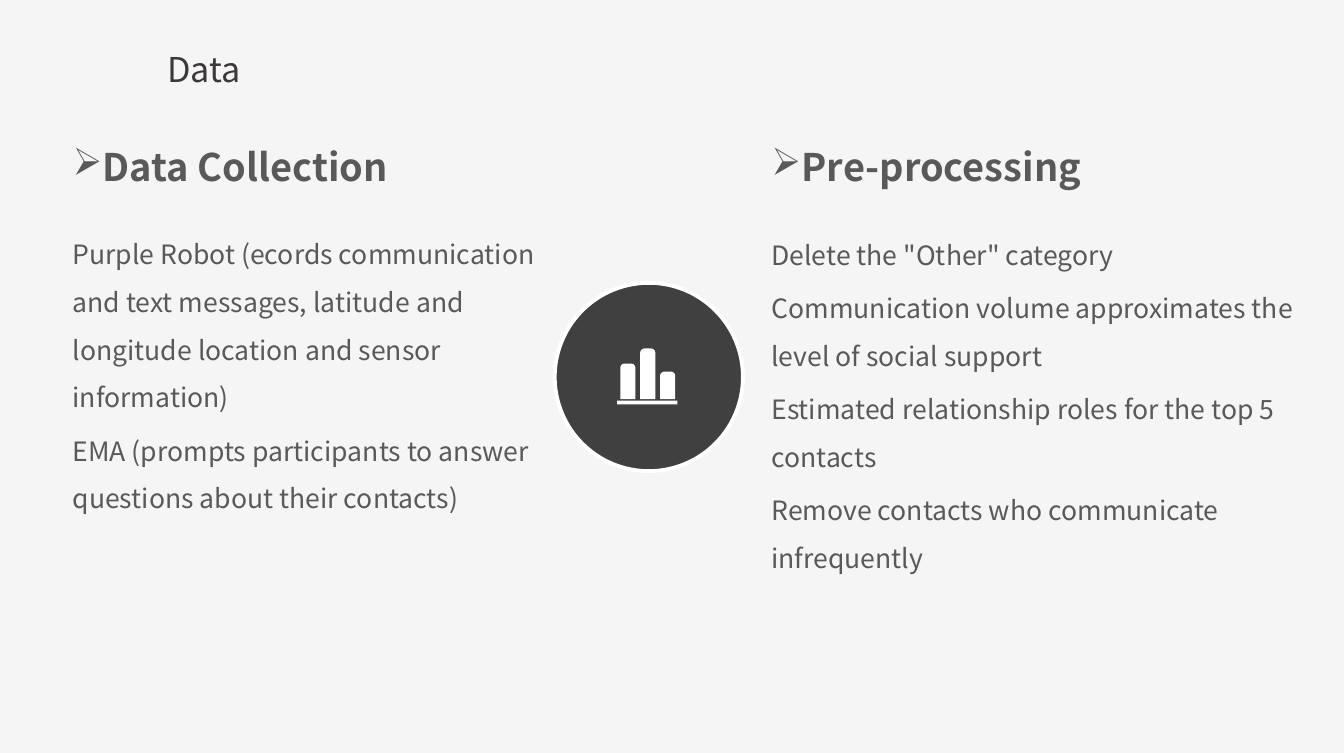
from lxml import etree
from pptx import Presentation
from pptx.dml.color import RGBColor
from pptx.enum.shapes import MSO_SHAPE
from pptx.enum.text import MSO_ANCHOR, PP_ALIGN
from pptx.oxml.ns import qn
from pptx.util import Cm, Pt

FONT = "Noto Sans CJK SC"
COLOURS = {
    "background": "F5F5F5",
    "title": "3B3837",
    "text": "595959",
    "disc": "404040",
    "white": "FFFFFF",
}

deck = Presentation()
deck.slide_width, deck.slide_height = Cm(25), Cm(14)
page = deck.slides.add_slide(deck.slide_layouts[6])
page.background.fill.solid()
page.background.fill.fore_color.rgb = RGBColor.from_string(COLOURS["background"])


def add_text(left, top, width, height, lines, size, colour="text", bold=False):
    """Add a margin-free text box with one paragraph per line; return its frame."""
    box = page.shapes.add_textbox(Cm(left), Cm(top), Cm(width), Cm(height))
    frame = box.text_frame
    frame.word_wrap = True
    frame.vertical_anchor = MSO_ANCHOR.MIDDLE
    frame.margin_left = frame.margin_right = frame.margin_top = frame.margin_bottom = 0
    for index, line in enumerate(lines):
        para = frame.paragraphs[0] if index == 0 else frame.add_paragraph()
        if index:
            para.space_before = Pt(size * 0.2)
        span = para.add_run()
        span.text = line
        span.font.name = FONT
        span.font.size = Pt(size)
        span.font.bold = bold
        span.font.color.rgb = RGBColor.from_string(COLOURS[colour])
    return frame


def add_filled(preset, left, top, width, height, colour):
    shape = page.shapes.add_shape(preset, Cm(left), Cm(top), Cm(width), Cm(height))
    shape.shadow.inherit = False
    shape.fill.solid()
    shape.fill.fore_color.rgb = RGBColor.from_string(COLOURS[colour])
    shape.line.fill.background()
    return shape


title = add_text(1.09, 0.79, 5.41, 0.97, ["Data"], 18, "title")
title.paragraphs[0].alignment = PP_ALIGN.CENTER

# Two columns: left edge, body width, body height, heading, body
columns = [
    (1.35, 9.17, 5.41, "Data Collection", [
        "Purple Robot (ecords communication and text messages, latitude and "
        "longitude location and sensor information)",
        "EMA (prompts participants to answer questions about their contacts)",
    ]),
    (14.35, 10.16, 6.53, "Pre-processing", [
        'Delete the "Other" category',
        "Communication volume approximates the level of social support",
        "Estimated relationship roles for the top 5 contacts",
        "Remove contacts who communicate infrequently",
    ]),
]
for left, width, height, heading, body in columns:
    heading_frame = add_text(left, 2.67, 6.05, 0.86, [heading], 20, bold=True)
    properties = heading_frame.paragraphs[0]._p.get_or_add_pPr()
    properties.set("marL", str(Cm(0.48)))
    properties.set("indent", str(-Cm(0.48)))
    etree.SubElement(properties, qn("a:buChar")).set("char", "➢")

    body_frame = add_text(left, 4.14, width, height, body, 14)
    for para in body_frame.paragraphs:
        para.line_spacing = 1.5

# Bar chart icon on a disc
disc = add_filled(MSO_SHAPE.OVAL, 10.32, 5.26, 3.5, 3.5, "disc")
disc.line.color.rgb = RGBColor.from_string(COLOURS["white"])
disc.line.width = Pt(2)

BAR_BOTTOM = 7.42
for index, bar_height in enumerate([0.66, 0.94, 0.51]):
    bar = add_filled(MSO_SHAPE.ROUND_2_SAME_RECTANGLE, 11.54 + index * 0.37,
                     BAR_BOTTOM - bar_height, 0.28, bar_height, "white")
    bar.adjustments[0] = 0.27
add_filled(MSO_SHAPE.RECTANGLE, 11.48, 7.45, 1.12, 0.07, "white")

deck.save("out.pptx")
